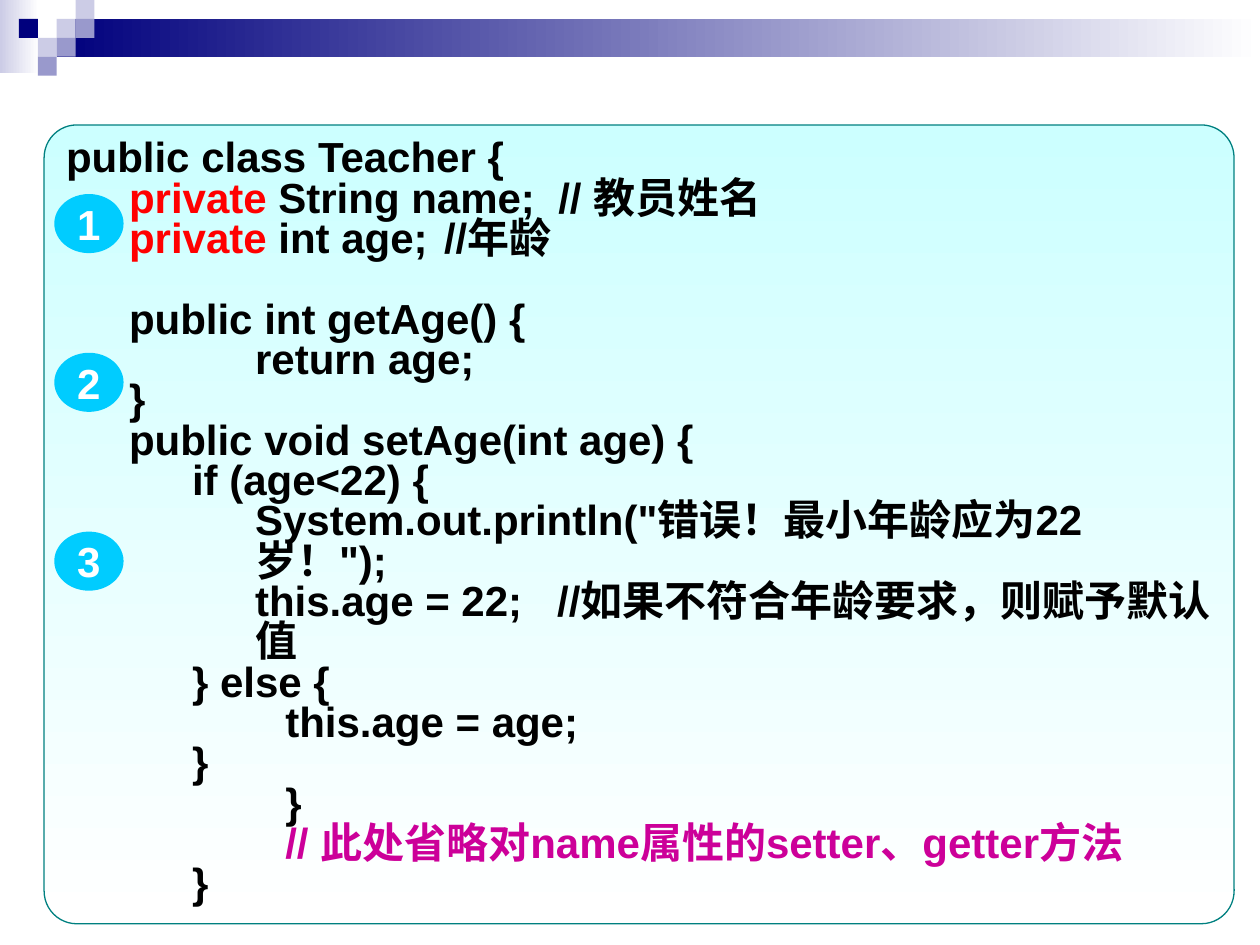
"""Build a slide showing an encapsulated Teacher class in Java."""
from lxml import etree
from pptx import Presentation
from pptx.dml.color import RGBColor
from pptx.enum.shapes import MSO_SHAPE
from pptx.enum.text import MSO_ANCHOR, PP_ALIGN
from pptx.oxml.ns import qn
from pptx.util import Pt

RECT, ROUND, OVAL = MSO_SHAPE.RECTANGLE, MSO_SHAPE.ROUNDED_RECTANGLE, MSO_SHAPE.OVAL
TOP, MIDDLE = MSO_ANCHOR.TOP, MSO_ANCHOR.MIDDLE
LEFT, CENTER = PP_ALIGN.LEFT, PP_ALIGN.CENTER

THEME = {
    "navy": "00007D", "mid": "9999CC", "pale": "CCCCE6", "white": "FFFFFF",
    "panel": "CCFFFF", "border": "008080", "badge": "00CCFF",
    "code": "000000", "keyword": "FF0000", "remark": "CC0099",
    "font": "Arial", "size": 24,
}

BANDS = [
    ((0, 0, 22.3, 41.8), "pale"),
    ((32.4, 10.8, 687.6, 21.6), "navy"),
]
CELL = 10.8
CELLS = [
    (3, 1, "pale"), (4, 0, "pale"), (4, 1, "mid"), (2, 2, "pale"),
    (1, 1, "navy"), (3, 2, "mid"), (2, 3, "mid"),
]
PANEL = (25.2, 71.4, 680, 456.5)
BADGES = [("1", 110.9), ("2", 201.6), ("3", 303.8)]

STEP = 36
DEEP = 3.48
COMMENT_TAB = 237
LINE_GAP = 23
CODE = [
    (0, [("public class Teacher {", "code")]),
    (1, [("private", "keyword"), (" String name;  // 教员姓名", "code")]),
    (1, [("private", "keyword"), (" int age;\t//年龄", "code")]),
    (1, [("public int getAge() {", "code")]),
    (3, [("return age;", "code")]),
    (1, [("}", "code")]),
    (1, [("public void setAge(int age) {", "code")]),
    (2, [("if (age<22) {", "code")]),
    (3, [('System.out.println("错误！最小年龄应为22岁！");', "code")]),
    (3, [("this.age = 22;   //如果不符合年龄要求，则赋予默认值", "code")]),
    (2, [("} else {", "code")]),
    (DEEP, [("this.age = age;", "code")]),
    (2, [("}", "code")]),
    (DEEP, [("}", "code")]),
    (DEEP, [("// 此处省略对name属性的setter、getter方法", "remark")]),
    (2, [("}", "code")]),
]
SECTION_START = 3


def color(name):
    return RGBColor.from_string(THEME[name])


def add_shape(slide, kind, box, fill, angle=None):
    sp = slide.shapes.add_shape(kind, *map(Pt, box))
    sp.shadow.inherit = False
    sp.line.fill.background()
    if angle is None:
        sp.fill.solid()
        sp.fill.fore_color.rgb = color(fill)
    else:
        sp.fill.gradient()
        sp.fill.gradient_angle = angle
        for stop, name in zip(sp.fill.gradient_stops, (fill, "white")):
            stop.color.rgb = color(name)
    return sp


def style(p, align):
    p.alignment = align
    p.font.name = THEME["font"]
    p.font.size = Pt(THEME["size"])
    p.font.bold = True


def add_tab(p, position):
    tabs = etree.SubElement(p._p.get_or_add_pPr(), qn("a:tabLst"))
    etree.SubElement(tabs, qn("a:tab"), pos=str(Pt(position)), algn="l")
    p._p.pPr.find(qn("a:defRPr")).addprevious(tabs)


def add_code(slide):
    sp = add_shape(slide, ROUND, PANEL, "panel", 270)
    sp.adjustments[0] = 0.041
    sp.line.color.rgb = color("border")
    sp.line.width = Pt(0.75)
    tf = sp.text_frame
    tf.word_wrap = True
    tf.vertical_anchor = TOP
    for i, (depth, runs) in enumerate(CODE):
        p = tf.add_paragraph() if i else tf.paragraphs[0]
        style(p, LEFT)
        p.line_spacing = 0.8
        if i == SECTION_START:
            p.space_before = Pt(LINE_GAP)
        pPr = p._p.get_or_add_pPr()
        pPr.set("marL", str(Pt(depth * STEP)))
        pPr.set("indent", "0")
        for text, name in runs:
            r = p.add_run()
            r.text = text
            r.font.color.rgb = color(name)
            if "\t" in text:
                add_tab(p, COMMENT_TAB)


def add_badge(slide, label, top):
    sp = add_shape(slide, OVAL, (31, top, 39.6, 33.8), "badge")
    tf = sp.text_frame
    tf.word_wrap = False
    tf.vertical_anchor = MIDDLE
    p = tf.paragraphs[0]
    p.text = label
    style(p, CENTER)
    p.font.color.rgb = color("white")


def main():
    prs = Presentation()
    prs.slide_width, prs.slide_height = Pt(720), Pt(540)
    slide = prs.slides.add_slide(prs.slide_layouts[6])
    for box, fill in BANDS:
        add_shape(slide, RECT, box, fill, 0)
    for col, row, fill in CELLS:
        add_shape(slide, RECT, (col * CELL, row * CELL, CELL, CELL), fill)
    add_code(slide)
    for label, top in BADGES:
        add_badge(slide, label, top)
    prs.save("out.pptx")


if __name__ == "__main__":
    main()
